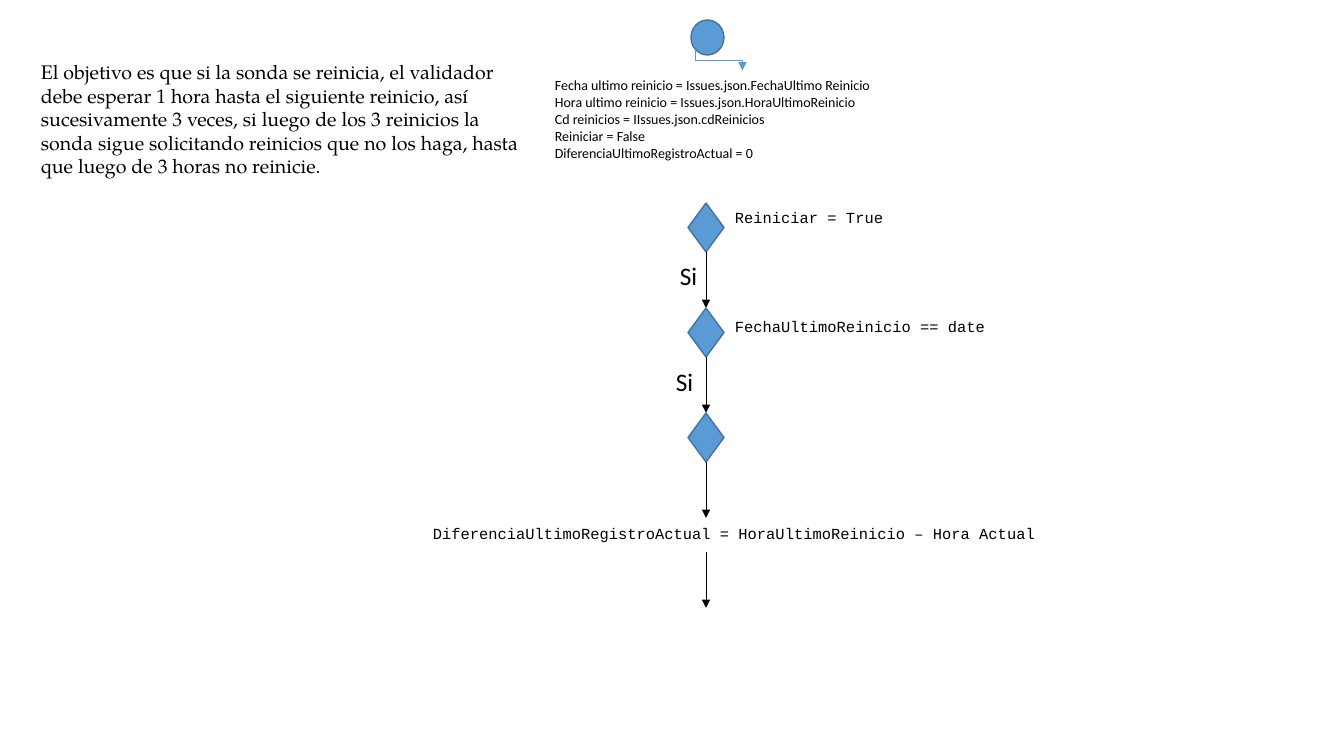
from dataclasses import dataclass

from lxml import etree
from pptx import Presentation
from pptx.dml.color import RGBColor
from pptx.enum.shapes import MSO_CONNECTOR, MSO_SHAPE
from pptx.enum.text import MSO_AUTO_SIZE
from pptx.oxml.ns import qn
from pptx.shapes.autoshape import Shape
from pptx.shapes.connector import Connector
from pptx.slide import Slide
from pptx.util import Emu, Pt

CIRCLE, DIAMOND = MSO_SHAPE.OVAL, MSO_SHAPE.DIAMOND
STRAIGHT, ELBOW = MSO_CONNECTOR.STRAIGHT, MSO_CONNECTOR.ELBOW
FIT_TEXT = MSO_AUTO_SIZE.SHAPE_TO_FIT_TEXT

BLUE = RGBColor(0x5B, 0x9B, 0xD5)
DARK_BLUE = RGBColor(0x43, 0x73, 0x9E)
BLACK = RGBColor(0, 0, 0)

BODY, CODE, PROSE = "Calibri", "Courier New", "TeX Gyre Pagella"
EMU_PER_PIXEL = 914400 / 100.8

# Decision column
AXIS = 706
DECISION_WIDTH, DECISION_HEIGHT = 36, 49
FIRST_DECISION, DECISION_STEP, DECISION_COUNT = 203, 105, 3
ARROW_LENGTH = DECISION_STEP - DECISION_HEIGHT


@dataclass(frozen=True)
class Label:
    left: int
    top: int
    width: int
    height: int
    text: str
    font: str
    size: int


LABELS = [
    Label(545, 72, 396, 95,
          "Fecha ultimo reinicio = Issues.json.FechaUltimo Reinicio\n"
          "Hora ultimo reinicio = Issues.json.HoraUltimoReinicio\n"
          "Cd reinicios = IIssues.json.cdReinicios\n"
          "Reiniciar = False\n"
          "DiferenciaUltimoRegistroActual = 0", BODY, 10),
    Label(725, 203, 230, 29, "Reiniciar = True", CODE, 11),
    Label(725, 312, 322, 29, "FechaUltimoReinicio == date", CODE, 11),
    Label(670, 255, 52, 40, "Si", BODY, 18),
    Label(666, 361, 52, 40, "Si", BODY, 18),
    Label(423, 519, 798, 29,
          "DiferenciaUltimoRegistroActual = HoraUltimoReinicio – Hora Actual",
          CODE, 11),
    Label(31, 55, 498, 129,
          "El objetivo es que si la sonda se reinicia, el validador debe esperar "
          "1 hora hasta el siguiente reinicio, así sucesivamente 3 veces, si luego "
          "de los 3 reinicios la sonda sigue solicitando reinicios que no los haga, "
          "hasta que luego de 3 horas no reinicie.", PROSE, 14),
]


def px(pixels: int) -> Emu:
    return Emu(round(pixels * EMU_PER_PIXEL))


def add_node(slide: Slide, kind: MSO_SHAPE, left: int, top: int,
             width: int, height: int) -> Shape:
    shape = slide.shapes.add_shape(kind, px(left), px(top), px(width), px(height))
    shape.shadow.inherit = False
    shape.fill.solid()
    shape.fill.fore_color.rgb = BLUE
    shape.line.color.rgb = DARK_BLUE
    shape.line.width = Pt(1)
    return shape


def add_arrow(slide: Slide, kind: MSO_CONNECTOR, start: tuple[int, int],
              end: tuple[int, int], color: RGBColor) -> Connector:
    arrow = slide.shapes.add_connector(kind, *map(px, start + end))
    arrow.line.color.rgb = color
    arrow.line.width = Pt(0.5)
    etree.SubElement(arrow.line._get_or_add_ln(), qn("a:tailEnd"), type="triangle")
    etree.SubElement(arrow._element.spPr, qn("a:effectLst"))
    return arrow


def add_label(slide: Slide, label: Label) -> Shape:
    shape = slide.shapes.add_textbox(px(label.left), px(label.top),
                                     px(label.width), px(label.height))
    text_frame = shape.text_frame
    text_frame.word_wrap = True
    text_frame.auto_size = FIT_TEXT
    text_frame.text = label.text
    for paragraph in text_frame.paragraphs:
        for run in paragraph.runs:
            run.font.name = label.font
            run.font.size = Pt(label.size)
            run.font.color.rgb = BLACK
    return shape


presentation = Presentation()
presentation.slide_width, presentation.slide_height = px(1344), px(756)
slide = presentation.slides.add_slide(presentation.slide_layouts[6])

# Start circle and its elbow, turned so that it leaves and arrives vertically
add_node(slide, CIRCLE, 691, 20, 33, 35)
elbow = add_arrow(slide, ELBOW, (709, 37), (729, 84), BLUE)
frame = elbow._element.spPr.find(qn("a:xfrm"))
frame.set("rot", str(270 * 60000))
frame.set("flipH", "1")

# Decisions, each followed by an arrow
for index in range(DECISION_COUNT):
    top = FIRST_DECISION + index * DECISION_STEP
    bottom = top + DECISION_HEIGHT
    add_node(slide, DIAMOND, AXIS - DECISION_WIDTH // 2, top,
             DECISION_WIDTH, DECISION_HEIGHT)
    add_arrow(slide, STRAIGHT, (AXIS, bottom), (AXIS, bottom + ARROW_LENGTH), BLACK)

# Arrow after the time difference
add_arrow(slide, STRAIGHT, (AXIS, 552), (AXIS, 552 + ARROW_LENGTH), BLACK)

# Texts
for label in LABELS:
    add_label(slide, label)

presentation.save("out.pptx")
